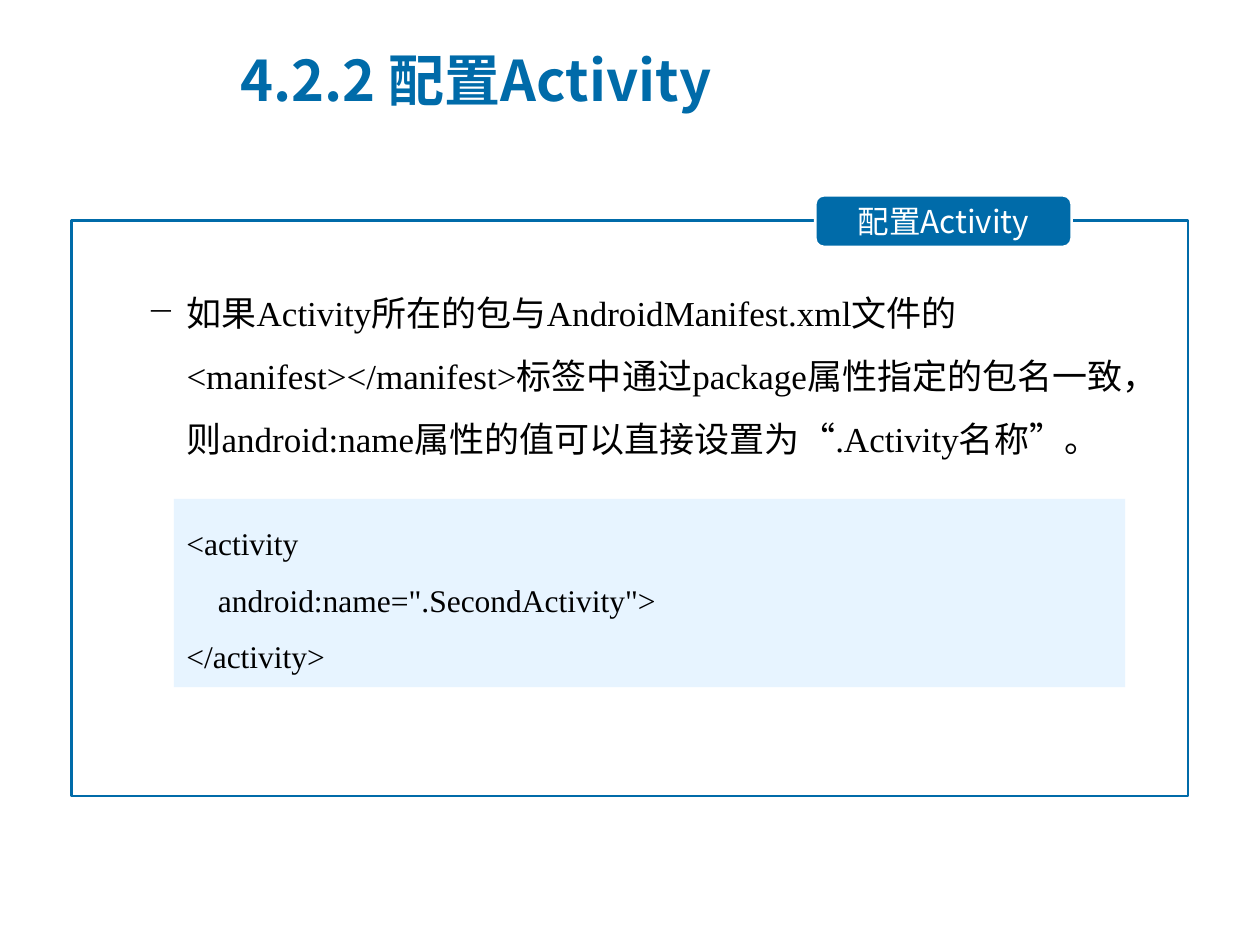
from lxml.etree import SubElement
from pptx import Presentation
from pptx.dml.color import RGBColor
from pptx.enum.shapes import MSO_SHAPE as Shape
from pptx.enum.text import MSO_ANCHOR as Anchor, PP_ALIGN as Align
from pptx.oxml.ns import qn
from pptx.util import Pt

BLUE = RGBColor(0x00, 0x6B, 0xA9)
PALE_BLUE = RGBColor(0xE7, 0xF4, 0xFF)
WHITE = RGBColor(0xFF, 0xFF, 0xFF)
BLACK = RGBColor(0x00, 0x00, 0x00)

SANS, SERIF, CHINESE = "Arial", "Times New Roman", "Noto Sans CJK SC"

EXPLANATION = [
    ("如果", SANS),
    ("Activity", SERIF),
    ("所在的包与", SANS),
    ("AndroidManifest.xml", SERIF),
    ("文件的", SANS),
    ("<manifest></manifest>", SERIF),
    ("标签中通过", SANS),
    ("package属性指定的包名一致，则android:name属性的值可以直接设置为", SERIF),
    ("“", SANS),
    (".Activity", SERIF),
    ("名称”。", SANS),
]
CODE_LINES = [
    ("<activity", 0),
    ('android:name=".SecondActivity">', 18),
    ("</activity>", 0),
]


def apply(target, formats):
    for name, value in formats.items():
        setattr(target, name, value)


def add_span(para, text, font, size, color, bold=False):
    span = para.add_run()
    span.text = text
    apply(span.font, {"name": font, "size": Pt(size), "bold": bold})
    span.font.color.rgb = color
    SubElement(span.font._element, qn("a:ea"), typeface=CHINESE)


def set_indent(para, margin, first=0, bullet=None):
    properties = para._p.get_or_add_pPr()
    properties.set("marL", str(Pt(margin)))
    properties.set("indent", str(Pt(first)))
    if bullet:
        SubElement(properties, qn("a:buChar"), char=bullet)


def add_box(page, left, top, width, height, anchor=Anchor.TOP):
    box = page.shapes.add_textbox(Pt(left), Pt(top), Pt(width), Pt(height))
    apply(box.text_frame, {"word_wrap": True, "vertical_anchor": anchor})
    return box.text_frame


def add_panel(page, kind, left, top, width, height, fill=None, line=None):
    panel = page.shapes.add_shape(kind, Pt(left), Pt(top), Pt(width), Pt(height))
    panel.shadow.inherit = False
    if fill is None:
        panel.fill.background()
    else:
        panel.fill.solid()
        panel.fill.fore_color.rgb = fill
    if line is None:
        panel.line.fill.background()
    else:
        panel.line.color.rgb = line
        panel.line.width = Pt(1.5)
    return panel


def add_explanation(page):
    frame = add_box(page, 41, 151.2, 634.3, 90.7)
    para = frame.paragraphs[0]
    apply(para, {"level": 1, "line_spacing": 1.5, "space_before": Pt(4)})
    set_indent(para, 58.5, -22.5, "−")
    for text, font in EXPLANATION:
        add_span(para, text, font, 20, BLACK)


def add_tag(page):
    tag = add_panel(page, Shape.ROUNDED_RECTANGLE, 465.9, 111.6, 146.5, 29.5, BLUE, WHITE)
    tag.adjustments[0] = 0.17
    frame = tag.text_frame
    apply(frame, {
        "word_wrap": True,
        "vertical_anchor": Anchor.MIDDLE,
        "margin_left": Pt(17.3),
        "margin_right": Pt(17.3),
        "margin_top": Pt(4.3),
        "margin_bottom": Pt(4.3),
    })
    para = frame.paragraphs[0]
    para.alignment = Align.CENTER
    add_span(para, "配置Activity", CHINESE, 18, WHITE)


def add_title(page):
    para = add_box(page, 130.3, 15.1, 405.4, 60.5, Anchor.MIDDLE).paragraphs[0]
    set_indent(para, 44.6, -44.6)
    add_span(para, "4.2.2 配置Activity", CHINESE, 32, BLUE, bold=True)


def add_code(page):
    frame = add_panel(page, Shape.RECTANGLE, 99.4, 285.1, 543.6, 107.6, PALE_BLUE).text_frame
    apply(frame, {"word_wrap": True, "vertical_anchor": Anchor.TOP})
    for number, (text, margin) in enumerate(CODE_LINES):
        para = frame.add_paragraph() if number else frame.paragraphs[0]
        apply(para, {"alignment": Align.LEFT, "line_spacing": 1.5})
        set_indent(para, margin)
        add_span(para, text, SERIF, 18, BLACK)


def main():
    deck = Presentation()
    apply(deck, {"slide_width": Pt(720), "slide_height": Pt(540)})
    page = deck.slides.add_slide(deck.slide_layouts[6])
    add_explanation(page)
    add_panel(page, Shape.RECTANGLE, 41, 126, 637.9, 329, line=BLUE)
    add_tag(page)
    add_title(page)
    add_code(page)
    deck.save("out.pptx")


if __name__ == "__main__":
    main()
